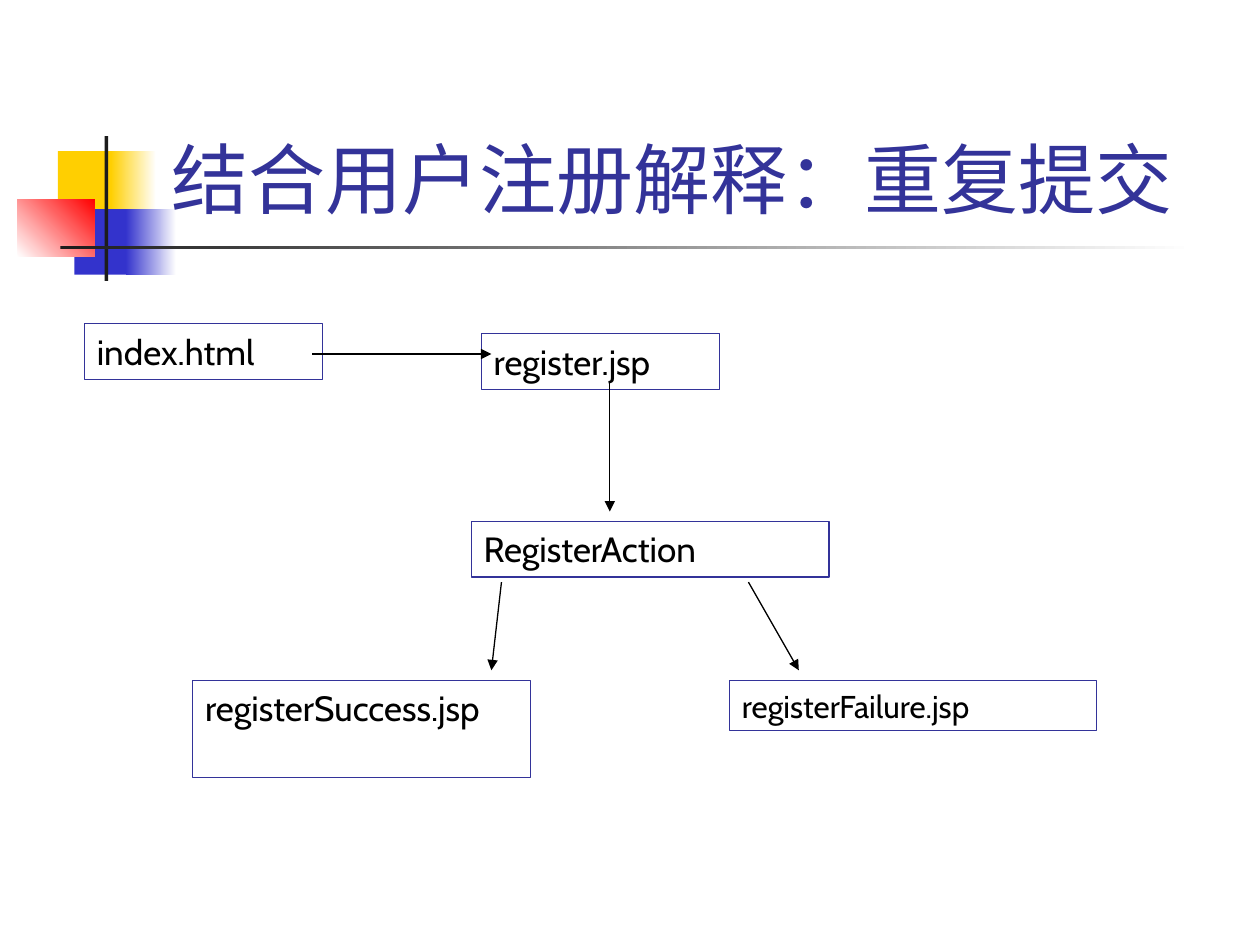
"""Build the slide that explains repeated submission in the user registration flow."""
from lxml import etree
from pptx import Presentation
from pptx.dml.color import RGBColor
from pptx.enum.shapes import MSO_CONNECTOR as CONN, MSO_SHAPE as SHAPE
from pptx.enum.text import MSO_ANCHOR as ANCHOR, PP_ALIGN as ALIGN
from pptx.oxml.ns import qn
from pptx.util import Inches, Pt

FONT = "Cabin"
COLORS = {
    "yellow": "FFCF01", "blue": "3333CC", "red": "FF0000", "dark": "1C1C1C",
    "white": "FFFFFF", "navy": "333399", "black": "000000",
}
TITLE = ("结合用户注册解释：重复提交", (1.26, 0.23, 8.52, 1.6))
DECOR = [
    ((0.46, 1.2, 0.48, 0.52), ["yellow"], 0),
    ((0.88, 1.2, 0.36, 0.52), ["yellow", "white"], 0),
    ((0.59, 1.66, 0.46, 0.52), ["blue"], 0),
    ((1, 1.66, 0.4, 0.52), ["blue", "white"], 0),
    ((0.14, 1.58, 0.61, 0.46), ["white", "red"], 45),
    ((0.83, 1.08, 0.03, 1.15), ["dark"], 0),
    ((0.48, 1.95, 9, 0.03), ["dark", "white"], 0),
]
PAGES = [
    ("index.html", (0.67, 2.57, 1.89, 0.44), 20),
    ("register.jsp", (3.82, 2.65, 1.89, 0.44), 20),
    ("RegisterAction", (3.74, 4.14, 2.84, 0.44), 20),
    ("registerSuccess.jsp", (1.53, 5.4, 2.68, 0.77), 20),
    ("registerFailure.jsp", (5.79, 5.4, 2.91, 0.4), 18),
]
ARROWS = [
    (2.48, 2.81, 3.9, 2.81),
    (4.84, 3.04, 4.84, 4.06),
    (3.98, 4.62, 3.9, 5.32),
    (5.94, 4.62, 6.34, 5.32),
]


def rgb(name):
    return RGBColor.from_string(COLORS[name])


def add_rect(s, box):
    sp = s.shapes.add_shape(SHAPE.RECTANGLE, *map(Inches, box))
    sp.shadow.inherit = False
    return sp


def add_decor(s, box, names, angle):
    sp = add_rect(s, box)
    sp.line.fill.background()
    if len(names) == 1:
        sp.fill.solid()
        sp.fill.fore_color.rgb = rgb(names[0])
        return
    sp.fill.gradient()
    sp.fill.gradient_angle = angle
    for stop, name, position in zip(sp.fill.gradient_stops, names, (0, 1)):
        stop.color.rgb = rgb(name)
        stop.position = position


def write(sp, text, size, color, anchor):
    tf = sp.text_frame
    tf.word_wrap = True
    tf.vertical_anchor = anchor
    p = tf.paragraphs[0]
    p.text = text
    p.alignment = ALIGN.LEFT
    p.font.name = FONT
    p.font.size = Pt(size)
    p.font.color.rgb = rgb(color)


def add_page(s, text, box, size):
    sp = add_rect(s, box)
    sp.fill.background()
    sp.line.color.rgb = rgb("navy")
    sp.line.width = Pt(0.75)
    write(sp, text, size, "black", ANCHOR.TOP)


def add_arrow(s, ends):
    cx = s.shapes.add_connector(CONN.STRAIGHT, *map(Inches, ends))
    cx.line.color.rgb = rgb("black")
    cx.line.width = Pt(0.75)
    etree.SubElement(cx.line._get_or_add_ln(), qn("a:tailEnd"), type="triangle")
    etree.SubElement(cx._element.spPr, qn("a:effectLst"))


def main():
    prs = Presentation()
    prs.slide_width, prs.slide_height = Inches(10), Inches(7.5)
    s = prs.slides.add_slide(prs.slide_layouts[6])
    for item in DECOR:
        add_decor(s, *item)
    text, box = TITLE
    write(s.shapes.add_textbox(*map(Inches, box)), text, 44, "navy", ANCHOR.BOTTOM)
    for page in PAGES:
        add_page(s, *page)
    for ends in ARROWS:
        add_arrow(s, ends)
    prs.save("out.pptx")


if __name__ == "__main__":
    main()
